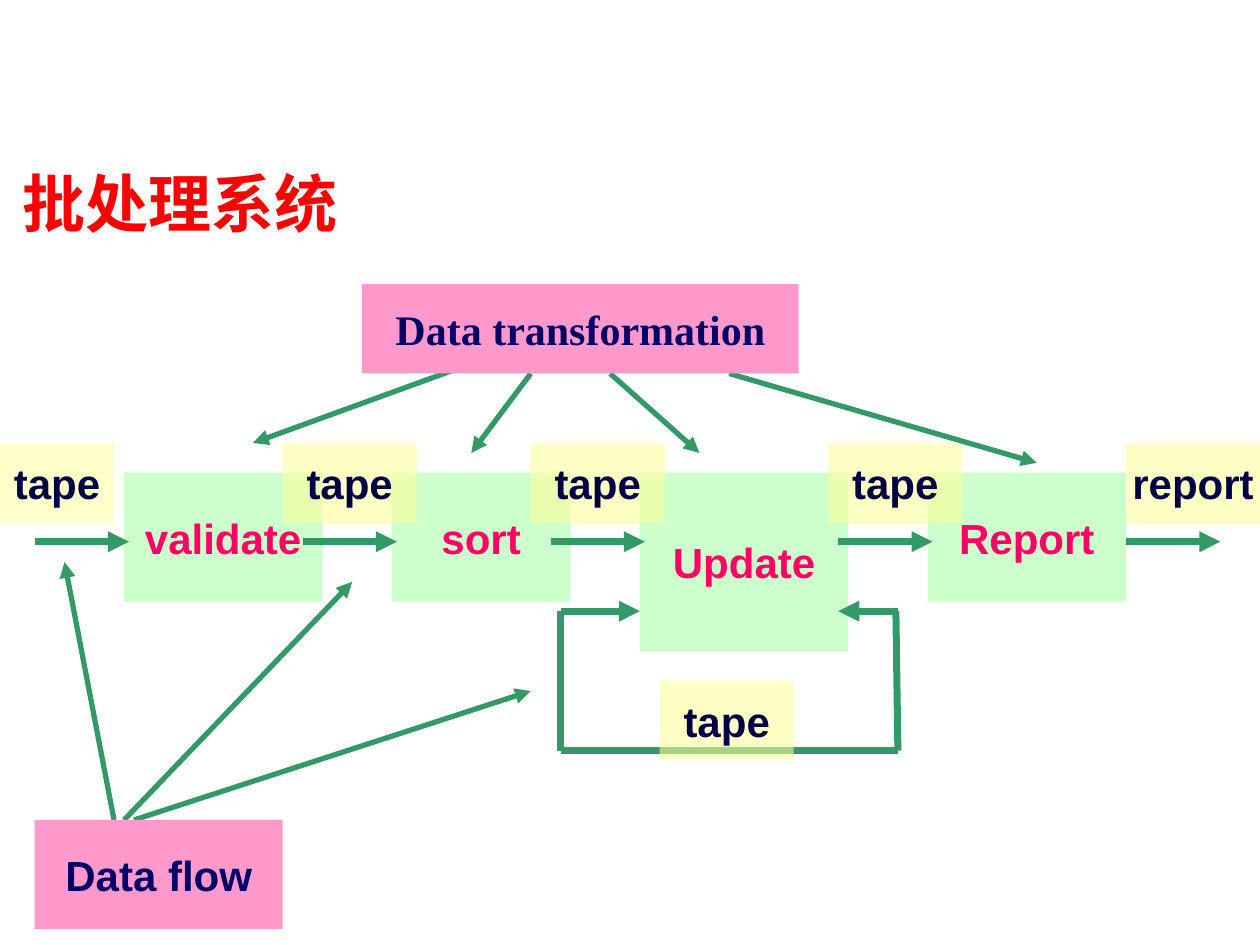
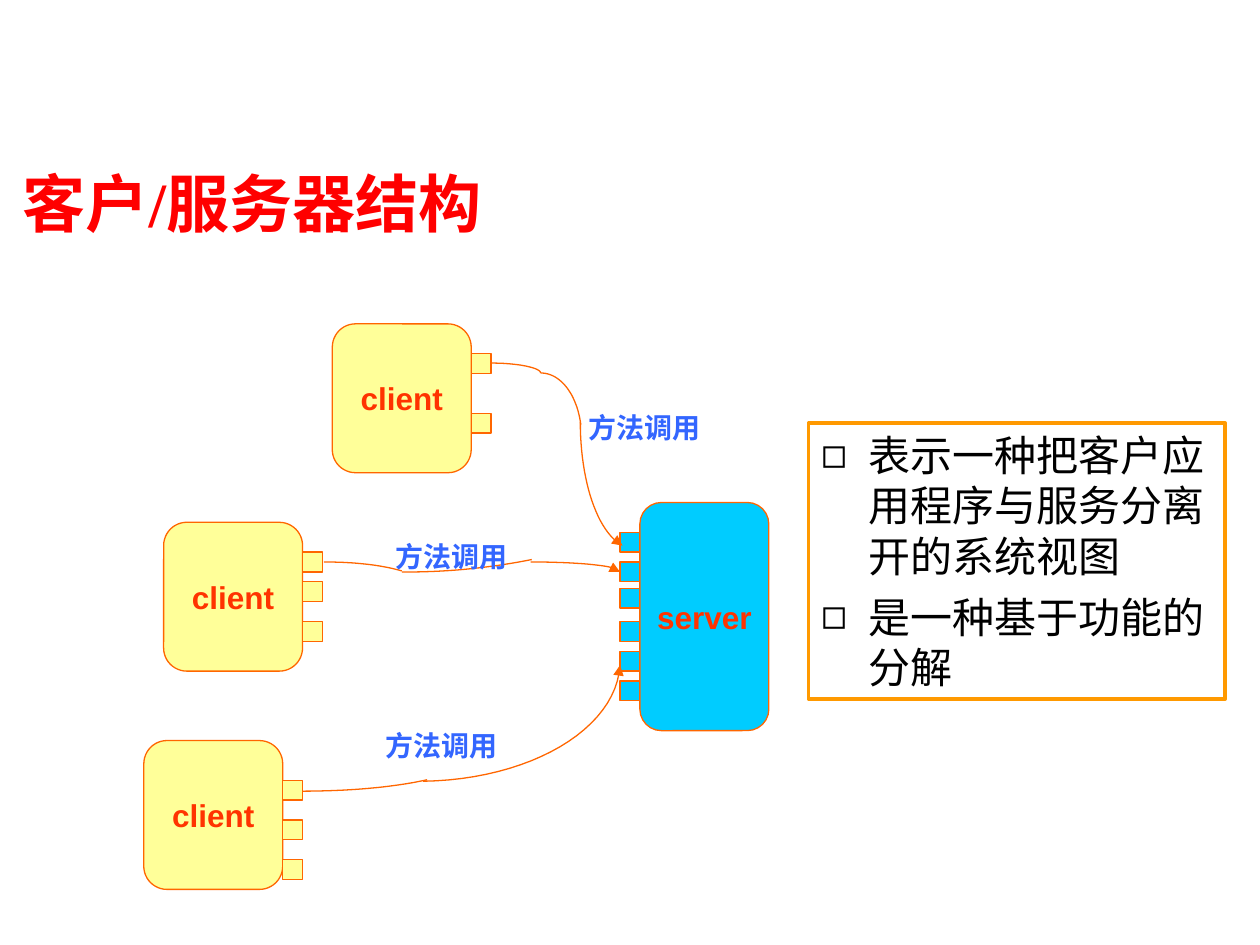
import lxml.etree
import pptx
import pptx.dml.color
import pptx.enum.shapes
import pptx.enum.text
import pptx.oxml.ns
import pptx.util

Cm = pptx.util.Cm
Pt = pptx.util.Pt
RGBColor = pptx.dml.color.RGBColor
KIND = pptx.enum.shapes.MSO_SHAPE
ALIGN = pptx.enum.text.PP_ALIGN
ANCHOR = pptx.enum.text.MSO_ANCHOR
qn = pptx.oxml.ns.qn

RED = RGBColor(0xFF, 0x00, 0x00)
BLACK = RGBColor(0x00, 0x00, 0x00)
WHITE = RGBColor(0xFF, 0xFF, 0xFF)
NAVY = RGBColor(0x00, 0x00, 0x66)
INK = RGBColor(0x00, 0x00, 0x44)
ROSE = RGBColor(0xFF, 0x00, 0x66)
PINK = RGBColor(0xFF, 0x99, 0xCC)
MINT = RGBColor(0xCC, 0xFF, 0xCC)
GREEN = RGBColor(0x33, 0x99, 0x66)
CREAM = RGBColor(0xFF, 0xFF, 0x99)
CYAN = RGBColor(0x00, 0xCC, 0xFF)
BLUE = RGBColor(0x33, 0x66, 0xFF)
RUST = RGBColor(0xFF, 0x33, 0x00)
ORANGE = RGBColor(0xFF, 0x66, 0x00)
AMBER = RGBColor(0xFF, 0x99, 0x00)

SANS = "Arial"
SERIF = "Times New Roman"

STEP_TOP = 9.53
STEPS = [
    ("validate", 2.5, 4, 2.6),
    ("sort", 7.9, 3.6, 2.6),
    ("Update", 12.9, 4.2, 3.6),
    ("Report", 18.7, 4, 2.6),
]
FLOW_Y, FLOW_LEN, FLOW_LEAD = 10.92, 1.9, 1.8
TAPE_TOP, TAPE_H = 8.94, 1.6
TAPES = [
    ("tape", 0, 2.3, 52),
    ("tape", 5.7, 2.7, 57),
    ("tape", 10.7, 2.7, 57),
    ("tape", 16.7, 2.7, 57),
    ("report", 22.7, 2.7, 57),
]
LOOP = [
    ((11.3, 12.32), (12.9, 12.32), True),
    ((11.3, 12.32), (11.3, 15.13), False),
    ((11.3, 15.13), (18.1, 15.13), False),
    ((18.1, 15.13), (18.06, 12.32), False),
    ((18.1, 12.32), (16.9, 12.32), True),
]
NOTES = [
    ("Data flow", SANS, (0.7, 16.53, 5, 2.2), [
        ((2.3, 16.53), (1.3, 11.33)),
        ((2.5, 16.53), (7.1, 11.73)),
        ((2.7, 16.53), (10.7, 13.93)),
    ]),
    ("Data transformation", SERIF, (7.3, 5.73, 8.8, 1.8), [
        ((9.5, 7.33), (5.1, 8.93)),
        ((10.7, 7.53), (9.5, 9.13)),
        ((12.3, 7.53), (14.1, 9.13)),
        ((14.7, 7.53), (20.9, 9.33)),
    ]),
]

POINTS = ["表示一种把客户应用程序与服务分离开的系统视图", "是一种基于功能的分解"]
PORT = 0.4
CLIENTS = [
    (6.7, 6.53, [0.6, 1.8]),
    (3.3, 10.53, [0.6, 1.2, 2]),
    (2.9, 14.93, [0.8, 1.6, 2.4]),
]
SERVER = (12.9, 10.13, 2.6, 4.6)
SERVER_PORTS = [0.6, 1.2, 1.73, 2.4, 3, 3.6]
CALL = "方法调用"
CALLS = [(7.1, 14.33, 3.6, 1.4), (7.1, 10.52, 4, 1.4), (11.1, 7.92, 3.8, 1.4)]
ROUTES = [
    [
        [(9.9, 7.32), (10.46, 7.32), (10.9, 7.42), (10.9, 7.52)],
        [(10.9, 7.52), (11.3, 7.52), (11.63, 7.95), (11.71, 8.56)],
        [(11.7, 8.51), (11.7, 9.7), (12.04, 10.72), (12.55, 11)],
    ],
    [
        [(6.53, 11.33), (7.09, 11.33), (7.65, 11.38), (8.1, 11.51)],
        [(8.1, 11.53), (9.05, 11.54), (9.98, 11.43), (10.72, 11.28)],
        [(10.7, 11.33), (11.68, 11.33), (12.5, 11.41), (12.5, 11.53)],
    ],
    [
        [(6.1, 15.95), (7.09, 15.95), (8, 15.86), (8.61, 15.72)],
        [(8.53, 15.75), (10.67, 15.72), (12.42, 14.71), (12.5, 13.41)],
    ],
]


def cms(nums):
    return [Cm(num) for num in nums]


def add_run(para, text, size, color, face, bold=True):
    run = para.add_run()
    run.text = text
    font = run.font
    font.size, font.name, font.bold = Pt(size), face, bold
    font.color.rgb = color


def center(shape, text, size, color, face=SANS):
    frame = shape.text_frame
    frame.word_wrap = False
    frame.vertical_anchor = ANCHOR.MIDDLE
    para = frame.paragraphs[0]
    para.alignment = ALIGN.CENTER
    add_run(para, text, size, color, face)


def add_box(slide, at, fill, edge=None, kind=KIND.RECTANGLE, alpha=None):
    box = slide.shapes.add_shape(kind, *cms(at))
    box.shadow.inherit = False
    box.fill.solid()
    box.fill.fore_color.rgb = fill
    if alpha:
        tint = next(box.element.spPr.iter(qn("a:srgbClr")))
        lxml.etree.SubElement(tint, qn("a:alpha")).set("val", str(alpha * 1000))
    if edge:
        box.line.color.rgb = edge
        box.line.width = Pt(0.75)
    else:
        box.line.fill.background()
    return box


def ink(item, color, width, arrow):
    item.line.color.rgb = color
    item.line.width = Pt(width)
    if arrow:
        line = item.element.spPr.find(qn("a:ln"))
        lxml.etree.SubElement(line, qn("a:tailEnd")).set("type", "triangle")


def add_line(slide, start, end, width, arrow=True):
    kind = pptx.enum.shapes.MSO_CONNECTOR.STRAIGHT
    line = slide.shapes.add_connector(kind, *cms(start + end))
    ink(line, GREEN, width, arrow)
    lxml.etree.SubElement(line.element.spPr, qn("a:effectLst"))


def add_curve(slide, knots, arrow, count=24):
    dots = []
    for step in range(count + 1):
        t = step / count
        u = 1 - t
        parts = (u ** 3, 3 * u * u * t, 3 * u * t * t, t ** 3)
        dots.append(cms(sum(k * p[axis] for k, p in zip(parts, knots)) for axis in (0, 1)))
    pen = slide.shapes.build_freeform(*dots[0])
    pen.add_line_segments(dots[1:], close=False)
    curve = pen.convert_to_shape()
    curve.shadow.inherit = False
    curve.fill.background()
    ink(curve, ORANGE, 0.75, arrow)


def place(shape, at):
    shape.left, shape.top, shape.width, shape.height = cms(at)
    frame = shape.text_frame
    frame.auto_size = pptx.enum.text.MSO_AUTO_SIZE.NONE
    frame.word_wrap = True
    frame.vertical_anchor = ANCHOR.TOP
    return frame


def new_slide(deck, layout, title):
    slide = deck.slides.add_slide(deck.slide_layouts[layout])
    para = place(slide.shapes.title, (0.2, 3.18, 19.3, 1.78)).paragraphs[0]
    para.alignment = ALIGN.LEFT
    para.space_before = Pt(0)
    add_run(para, title, 36, RED, SERIF)
    return slide


def add_tape(slide, text, left, top, width, alpha):
    box = add_box(slide, (left, top, width, TAPE_H), CREAM, alpha=alpha)
    center(box, text, 24, INK)


def add_batch(deck):
    slide = new_slide(deck, 5, "批处理系统")
    for text, left, width, height in STEPS:
        box = add_box(slide, (left, STEP_TOP, width, height), MINT)
        center(box, text, 24, ROSE)
    starts = [left - FLOW_LEAD for _, left, _, _ in STEPS]
    starts.append(STEPS[-1][1] + STEPS[-1][2])
    for left in starts:
        add_line(slide, (left, FLOW_Y), (left + FLOW_LEN, FLOW_Y), 4)
    for text, left, width, alpha in TAPES:
        add_tape(slide, text, left, TAPE_TOP, width, alpha)
    for start, end, arrow in LOOP:
        add_line(slide, start, end, 4, arrow)
    add_tape(slide, "tape", 13.3, 13.72, 2.7, 57)
    for text, face, at, lines in NOTES:
        for start, end in lines:
            add_line(slide, start, end, 3)
        center(add_box(slide, at, PINK), text, 24, NAVY, face)


def add_points(slide):
    body = slide.placeholders[1]
    frame = place(body, (16.3, 8.53, 8.4, 5.56))
    body.fill.solid()
    body.fill.fore_color.rgb = WHITE
    body.line.color.rgb = AMBER
    body.line.width = Pt(2)
    for num, text in enumerate(POINTS):
        para = frame.add_paragraph() if num else frame.paragraphs[0]
        props = para._p.get_or_add_pPr()
        props.set("marL", str(Cm(0.95)))
        props.set("indent", str(-Cm(0.95)))
        tint = lxml.etree.SubElement(props, qn("a:buClr"))
        lxml.etree.SubElement(tint, qn("a:srgbClr")).set("val", str(BLACK))
        lxml.etree.SubElement(props, qn("a:buChar")).set("char", "◻")
        para.space_before = Pt(6 if num else 0)
        add_run(para, text, 24, BLACK, SERIF, False)


def add_node(slide, text, at, fill, ports, side):
    box = add_box(slide, at, fill, ORANGE, KIND.ROUNDED_RECTANGLE)
    center(box, text, 18, RUST)
    for drop in ports:
        add_box(slide, (side, at[1] + drop, PORT, PORT), fill, ORANGE)


def add_server(deck):
    slide = new_slide(deck, 1, "客户/服务器结构")
    add_points(slide)
    add_node(slide, "server", SERVER, CYAN, SERVER_PORTS, SERVER[0] - PORT)
    for left, top, ports in CLIENTS:
        add_node(slide, "client", (left, top, 2.8, 3), CREAM, ports, left + 2.8)
    for route in ROUTES:
        for knots in route:
            add_curve(slide, knots, knots is route[-1])
    for at in CALLS:
        center(slide.shapes.add_textbox(*cms(at)), CALL, 16, BLUE)


def main():
    deck = pptx.Presentation()
    deck.slide_width, deck.slide_height = Cm(25.4), Cm(19.05)
    add_batch(deck)
    add_server(deck)
    deck.save("out.pptx")


if __name__ == "__main__":
    main()
